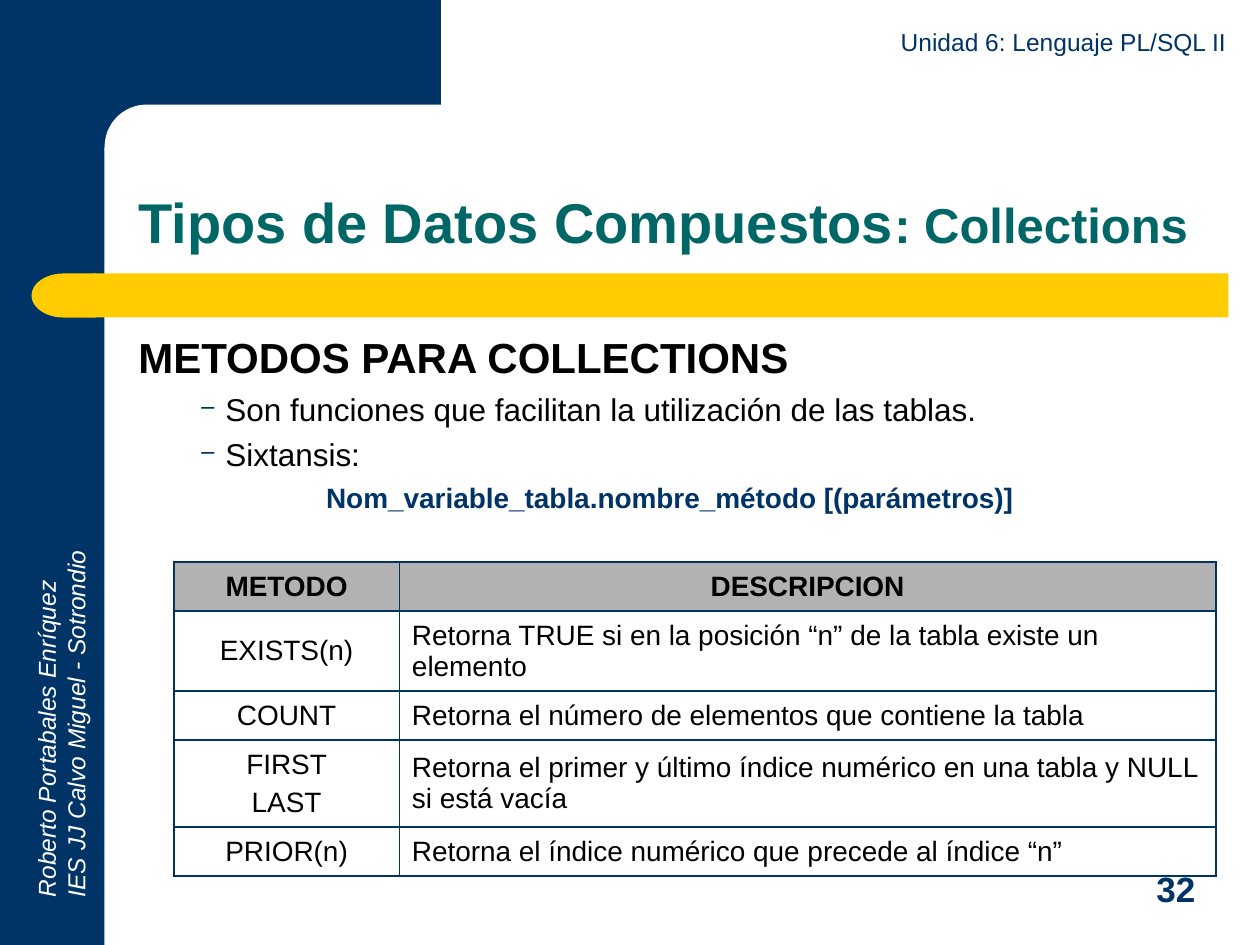
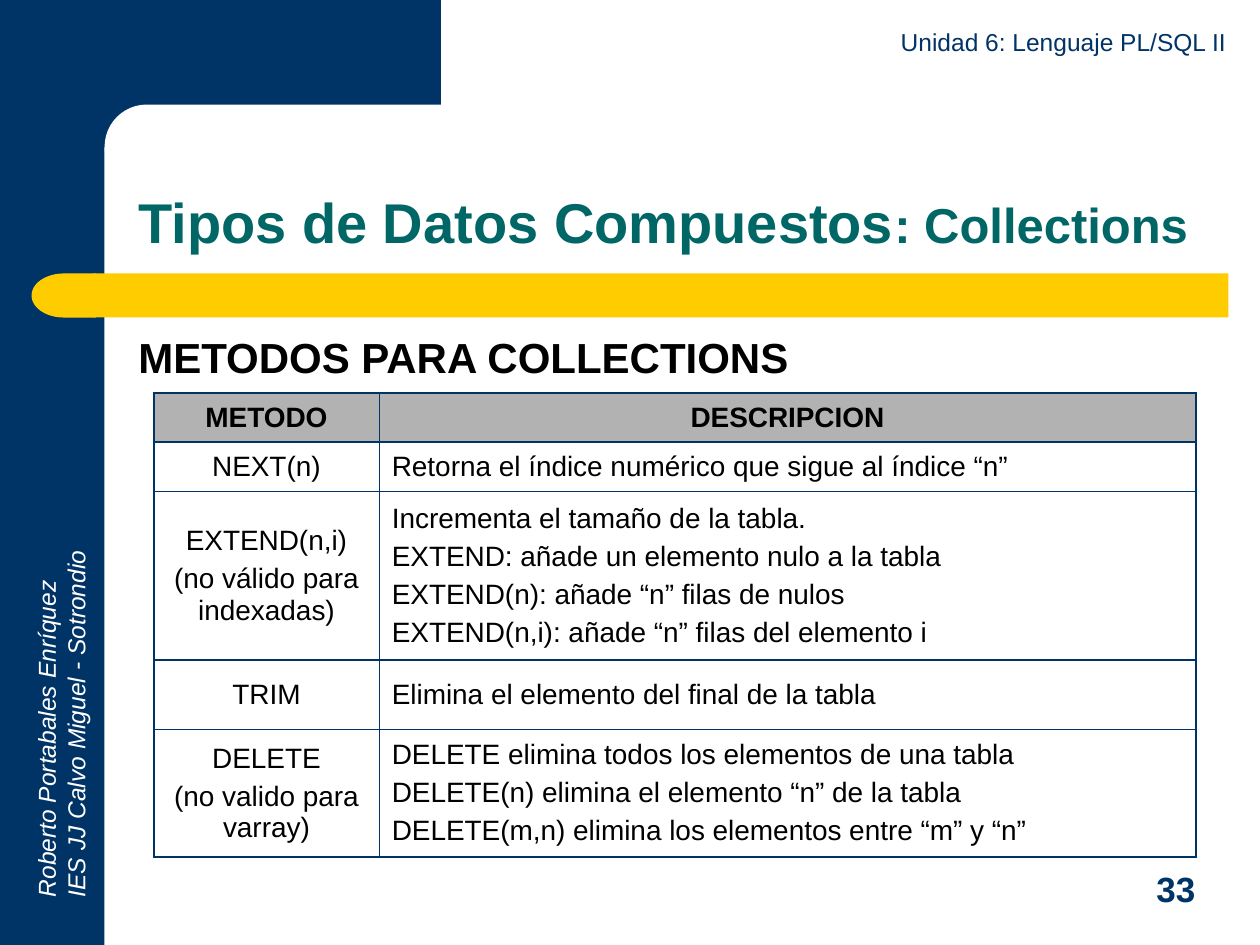
from lxml import etree
from pptx import Presentation
from pptx import util as u
from pptx.dml.color import RGBColor
from pptx.enum import shapes, text
from pptx.oxml import ns

NAVY = RGBColor(0x00, 0x33, 0x66)
GOLD = RGBColor(0xFF, 0xCC, 0x00)
TEAL = RGBColor(0x00, 0x66, 0x66)
GRAY = RGBColor(0xB2, 0xB2, 0xB2)
WHITE = RGBColor(0xFF, 0xFF, 0xFF)
BLACK = RGBColor(0x00, 0x00, 0x00)
FONT = "Arial"
THICK, THIN = 1.08, 0.45
COLUMNS = (1.79, 6.48)
HEADER = ("METODO", "DESCRIPCION")
SHAPE, ALIGN, ANCHOR = shapes.MSO_SHAPE, text.PP_ALIGN, text.MSO_ANCHOR

ACCESS_ROWS = [
    (0.39, "EXISTS(n)",
     "Retorna TRUE si en la posición “n” de la tabla existe un elemento"),
    (0.39, "COUNT", "Retorna el número de elementos que contiene la tabla"),
    (0.69, "FIRST\nLAST",
     "Retorna el primer y último índice numérico en una tabla y NULL si está vacía"),
    (0.39, "PRIOR(n)", "Retorna el índice numérico que precede al índice “n”"),
]
ACCESS_ROWS[0] = (0.63, *ACCESS_ROWS[0][1:])

CHANGE_ROWS = [
    (0.39, "NEXT(n)", "Retorna el índice numérico que sigue al índice “n”"),
    (1.34, "EXTEND(n,i)\n(no válido para indexadas)",
     "Incrementa el tamaño de la tabla.\n"
     "EXTEND: añade un elemento nulo a la tabla\n"
     "EXTEND(n): añade “n” filas de nulos\n"
     "EXTEND(n,i): añade “n” filas del elemento i"),
    (0.55, "TRIM", "Elimina el elemento del final de la tabla"),
    (1.01, "DELETE\n(no valido para varray)",
     "DELETE elimina todos los elementos de una tabla\n"
     "DELETE(n) elimina el elemento “n” de la tabla\n"
     "DELETE(m,n) elimina los elementos entre “m” y “n”"),
]


def add_block(s, kind, box, color):
    """Add a plain filled shape without outline or shadow."""
    sp = s.shapes.add_shape(kind, *map(u.Inches, box))
    sp.shadow.inherit = False
    sp.fill.solid()
    sp.fill.fore_color.rgb = color
    sp.line.fill.background()
    return sp


def add_box(s, box, anchor=ANCHOR.TOP):
    """Add an empty wrapping text box."""
    sp = s.shapes.add_textbox(*map(u.Inches, box))
    sp.text_frame.word_wrap = True
    sp.text_frame.vertical_anchor = anchor
    return sp


def add_run(p, content, size=16, color=BLACK, bold=False, italic=False):
    """Append a formatted run to a paragraph."""
    r = p.add_run()
    r.text = content
    r.font.name, r.font.size = FONT, u.Pt(size)
    r.font.bold, r.font.italic = bold, italic
    r.font.color.rgb = color


def write(tf, content, align=ALIGN.LEFT, before=0, margin=0, indent=0, dash=False, **fmt):
    """Write each line of the text as a paragraph and return the last one."""
    for line in content.split("\n"):
        first = not tf.paragraphs[0].runs
        p = tf.paragraphs[0] if first else tf.add_paragraph()
        p.alignment = align
        if not first:
            p.space_before = u.Pt(before)
        pPr = p._p.get_or_add_pPr()
        if margin:
            pPr.set("marL", str(u.Inches(margin)))
            pPr.set("indent", str(u.Inches(indent)))
        if dash:
            clr = etree.SubElement(pPr, ns.qn("a:buClr"))
            etree.SubElement(clr, ns.qn("a:srgbClr"), val=str(NAVY))
            etree.SubElement(pPr, ns.qn("a:buSzPct"), val="75000")
            etree.SubElement(pPr, ns.qn("a:buChar"), char="–")
        add_run(p, line, **fmt)
    return p


def set_borders(cell, **widths):
    """Draw the cell borders, given as side letter and width in points."""
    tcPr = cell._tc.get_or_add_tcPr()
    for side, width in widths.items():
        ln = etree.SubElement(tcPr, ns.qn(f"a:ln{side}"), w=str(u.Pt(width)))
        fill = etree.SubElement(ln, ns.qn("a:solidFill"))
        etree.SubElement(fill, ns.qn("a:srgbClr"), val=str(NAVY))


def add_methods_table(s, left, top, rows):
    """Add the table of methods under its grey header row."""
    rows = [(0.39, *HEADER), *rows]
    height = sum(row[0] for row in rows)
    frame = s.shapes.add_table(len(rows), len(COLUMNS), u.Inches(left), u.Inches(top),
                               u.Inches(sum(COLUMNS)), u.Inches(height))
    table = frame.table
    table.first_row = table.horz_banding = False
    for column, width in zip(table.columns, COLUMNS):
        column.width = u.Inches(width)
    for i, (row_height, *contents) in enumerate(rows):
        table.rows[i].height = u.Inches(row_height)
        for j, content in enumerate(contents):
            cell = table.cell(i, j)
            cell.vertical_anchor = ANCHOR.MIDDLE
            set_borders(cell, L=THIN if j else THICK, R=THICK if j else THIN,
                        T=THICK, B=THICK)
            if i == 0:
                cell.fill.solid()
                cell.fill.fore_color.rgb = GRAY
            else:
                cell.fill.background()
            centred = i == 0 or j == 0
            write(cell.text_frame, content, before=4, bold=i == 0,
                  align=ALIGN.CENTER if centred else ALIGN.LEFT)


def add_frame(s):
    """Draw the navy corner, the gold band and the author label."""
    add_block(s, SHAPE.RECTANGLE, (0, 0, 0.83, 7.5), NAVY)
    add_block(s, SHAPE.RECTANGLE, (0.75, 0, 2.75, 1.17), NAVY)
    corner = add_block(s, SHAPE.ROUNDED_RECTANGLE, (0.83, 0.83, 5.58, 0.67), WHITE)
    corner.adjustments[0] = 0.5
    add_block(s, SHAPE.RECTANGLE, (0.74, 2.17, 9.01, 0.35), GOLD)
    add_block(s, SHAPE.FLOWCHART_DELAY, (0.25, 2.17, 0.51, 0.35), GOLD).rotation = 180
    author = add_box(s, (-1.17, 5.28, 3.31, 0.57))
    author.rotation = 270
    write(author.text_frame, "Roberto Portabales Enríquez\nIES JJ Calvo Miguel - Sotrondio",
          size=14, color=WHITE, italic=True)


def add_slide(prs, number):
    """Add a slide with the shared parts; return it and its body text frame."""
    s = prs.slides.add_slide(prs.slide_layouts[6])
    add_frame(s)
    unit = add_box(s, (3.58, 0.16, 6.25, 0.34), ANCHOR.BOTTOM)
    write(unit.text_frame, "Unidad 6: Lenguaje PL/SQL II", align=ALIGN.RIGHT,
          size=14, color=NAVY)
    page = add_box(s, (9.08, 6.83, 0.75, 0.44), ANCHOR.MIDDLE)
    write(page.text_frame, str(number), size=20, color=NAVY, bold=True)
    title = add_box(s, (1, 0.83, 8.75, 1.25), ANCHOR.BOTTOM)
    p = write(title.text_frame, "Tipos de Datos Compuestos", size=32, color=TEAL, bold=True)
    p.line_spacing = 0.9
    add_run(p, ": Collections", size=28, color=TEAL, bold=True)
    body = add_box(s, (1, 2.58, 8.8, 4.08)).text_frame
    write(body, "METODOS PARA COLLECTIONS", margin=0.3, indent=-0.3, size=24, bold=True)
    return s, body


def main():
    """Build both slides and save the presentation."""
    prs = Presentation()
    prs.slide_width, prs.slide_height = u.Inches(10), u.Inches(7.5)

    s, body = add_slide(prs, 32)
    write(body, "Son funciones que facilitan la utilización de las tablas.\nSixtansis:",
          before=4.5, margin=0.69, indent=-0.19, dash=True, size=18)
    write(body, "Nom_variable_tabla.nombre_método [(parámetros)]",
          before=4, margin=1.77, indent=-0.28, color=NAVY, bold=True)
    add_methods_table(s, 1.38, 4.46, ACCESS_ROWS)

    s, body = add_slide(prs, 33)
    add_methods_table(s, 1.22, 3.12, CHANGE_ROWS)

    prs.save("out.pptx")


if __name__ == "__main__":
    main()
